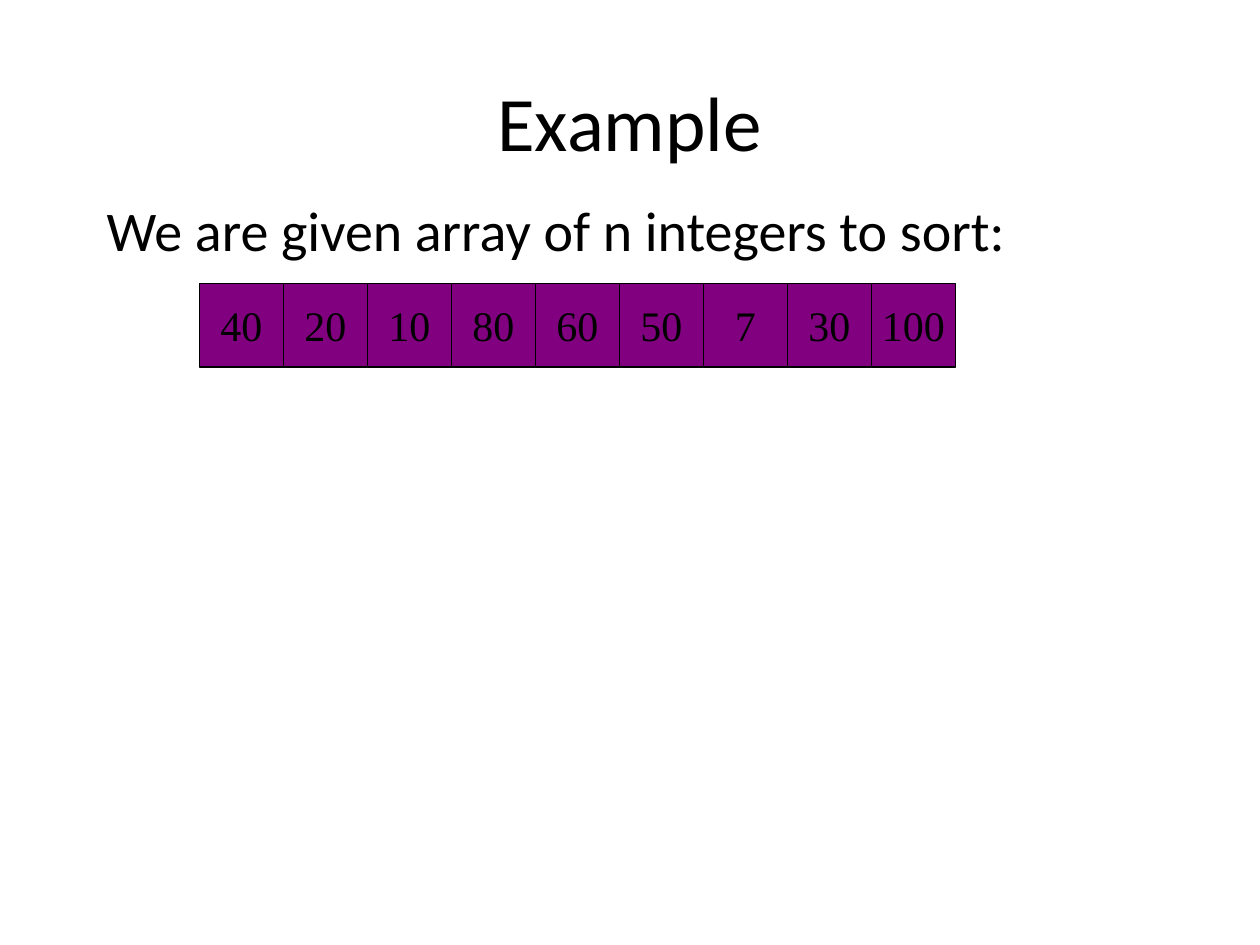
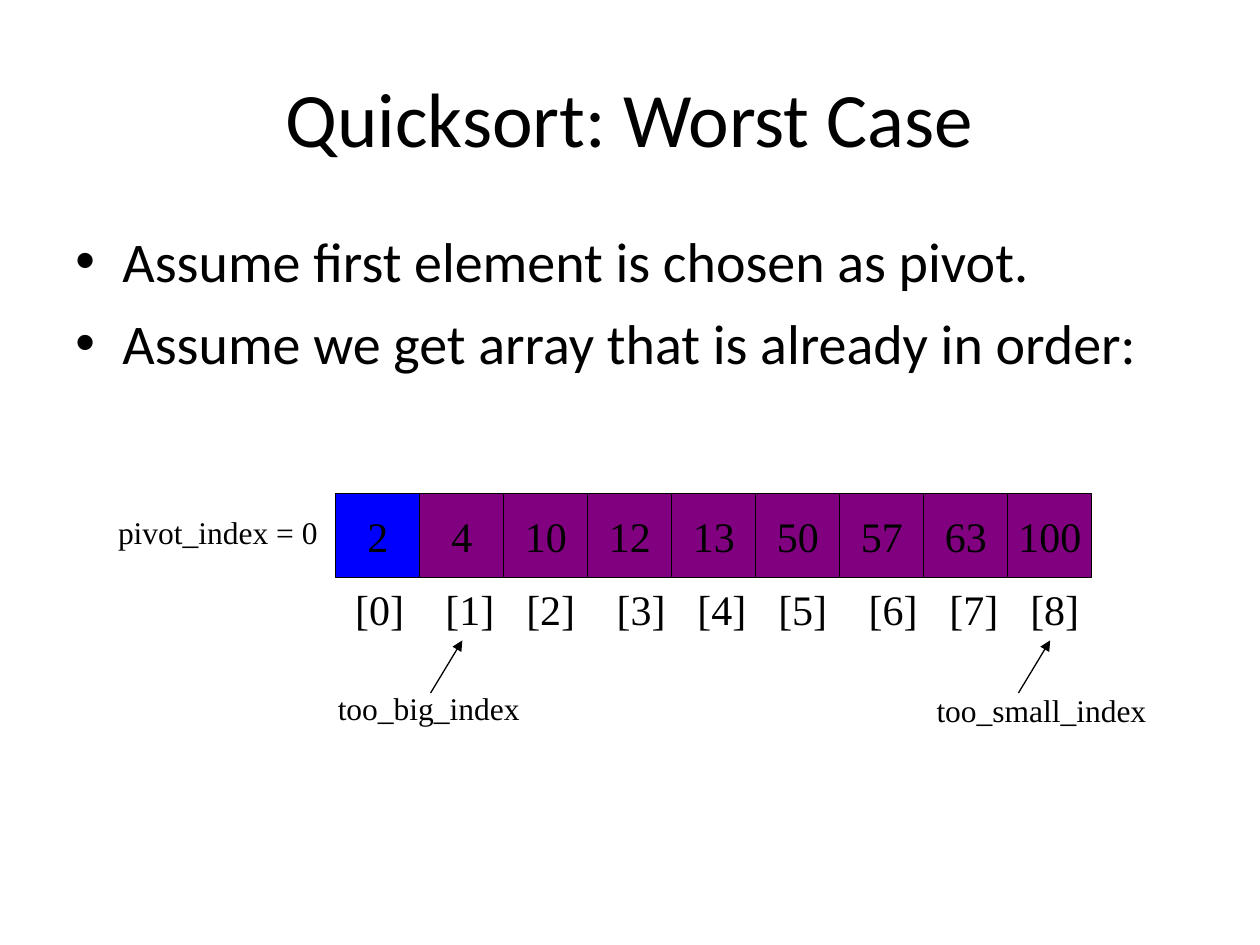
"""Builds two slides about sorting an array with quicksort."""
from itertools import accumulate

from lxml.etree import SubElement
from pptx import Presentation
from pptx.dml.color import RGBColor
from pptx.enum.shapes import MSO_CONNECTOR, MSO_SHAPE
from pptx.enum.text import MSO_ANCHOR, PP_ALIGN
from pptx.oxml.ns import qn
from pptx.util import Cm, Pt

BLACK, PURPLE, BLUE = "000000", "800080", "0000FF"
HEADING_FONT, ARRAY_FONT = "Calibri", "Times New Roman"
ROW_WIDTH, CELL_HEIGHT = 15.24, 1.69
WIDE_STEP, NARROW_STEP = 1.82, 1.63
TITLE_ONLY = 5


def color(hex_text):
    """Return the colour for a hex string."""
    return RGBColor.from_string(hex_text)


class Deck:
    """Holds the shared style and the current slide."""

    def __init__(self):
        """Start a 4:3 presentation."""
        self.presentation = Presentation()
        self.presentation.slide_width = Cm(25.4)
        self.presentation.slide_height = Cm(19.05)
        self.slide = None

    def add_words(self, paragraph, words, size, font, align=PP_ALIGN.LEFT):
        """Add one styled run to a paragraph."""
        paragraph.alignment = align
        run = paragraph.add_run()
        run.text = words
        run.font.size = Pt(size)
        run.font.name = font
        run.font.color.rgb = color(BLACK)

    def start_slide(self, heading, left, top, width):
        """Add a slide with a centred title."""
        layout = self.presentation.slide_layouts[TITLE_ONLY]
        self.slide = self.presentation.slides.add_slide(layout)
        title = self.slide.shapes.title
        title.left, title.top = Cm(left), Cm(top)
        title.width, title.height = Cm(width), Cm(3.18)
        title.text_frame.vertical_anchor = MSO_ANCHOR.MIDDLE
        self.add_words(title.text_frame.paragraphs[0], heading, 44, HEADING_FONT, PP_ALIGN.CENTER)

    def text_frame(self, left, top, width, height):
        """Add a wrapping text box and return its frame."""
        box = self.slide.shapes.add_textbox(Cm(left), Cm(top), Cm(width), Cm(height))
        box.text_frame.word_wrap = True
        return box.text_frame

    def body(self, statements, left, top, width, height, bulleted=False):
        """Add large statements with a hanging indent."""
        frame = self.text_frame(left, top, width, height)
        for number, statement in enumerate(statements):
            paragraph = frame.add_paragraph() if number else frame.paragraphs[0]
            properties = paragraph._p.get_or_add_pPr()
            properties.set("marL", str(Cm(0.95)))
            properties.set("indent", str(-Cm(0.95)))
            if bulleted:
                SubElement(properties, qn("a:buFont"), typeface="Arial")
                SubElement(properties, qn("a:buChar"), char="•")
            if number:
                paragraph.space_before = Pt(8)
            self.add_words(paragraph, statement, 32, HEADING_FONT)

    def array(self, values, left, top, pivot=None):
        """Add a row of equal cells, with the pivot in blue."""
        pitch = ROW_WIDTH / len(values)
        for index, value in enumerate(values):
            cell = self.slide.shapes.add_shape(
                MSO_SHAPE.RECTANGLE, Cm(left + index * pitch), Cm(top), Cm(pitch), Cm(CELL_HEIGHT))
            cell.shadow.inherit = False
            cell.fill.solid()
            cell.fill.fore_color.rgb = color(BLUE if index == pivot else PURPLE)
            cell.line.color.rgb = color(BLACK)
            cell.line.width = Pt(0.75)
            cell.text_frame.word_wrap = False
            cell.text_frame.vertical_anchor = MSO_ANCHOR.MIDDLE
            self.add_words(cell.text_frame.paragraphs[0], str(value), 24, ARRAY_FONT, PP_ALIGN.CENTER)

    def label(self, words, left, top, width, size=18, stops=()):
        """Add a one-line label, with tab stops where given."""
        paragraph = self.text_frame(left, top, width, size / 18).paragraphs[0]
        if stops:
            tabs = SubElement(paragraph._p.get_or_add_pPr(), qn("a:tabLst"))
            for stop in stops:
                SubElement(tabs, qn("a:tab"), pos=str(Cm(stop)), algn="l")
        self.add_words(paragraph, words, size, ARRAY_FONT)

    def arrow(self, left, bottom):
        """Add an arrow that rises to an index label."""
        pointer = self.slide.shapes.add_connector(
            MSO_CONNECTOR.STRAIGHT, Cm(left), Cm(bottom), Cm(left + 0.64), Cm(bottom - 1.06))
        pointer.line.color.rgb = color(BLACK)
        pointer.line.width = Pt(0.75)
        SubElement(pointer.line._get_or_add_ln(), qn("a:tailEnd"), type="triangle")
        SubElement(pointer._element.spPr, qn("a:effectLst"))


def build_example(deck):
    """Show the unsorted array."""
    deck.start_slide("Example", 1.9, 0.85, 21.59)
    deck.body(["We are given array of n integers to sort:"], 1.9, 3.81, 21.59, 11.43)
    deck.array([40, 20, 10, 80, 60, 50, 7, 30, 100], 4.02, 5.71)


def build_worst_case(deck):
    """Show a sorted array with its pivot and scanning indexes."""
    deck.start_slide("Quicksort: Worst Case", 1.27, 0.76, 22.86)
    deck.body(["Assume first element is chosen as pivot.",
               "Assume we get array that is already in order:"],
              1.27, 4.45, 22.86, 12.57, bulleted=True)
    sorted_values = [2, 4, 10, 12, 13, 50, 57, 63, 100]
    deck.array(sorted_values, 6.77, 9.95, pivot=0)
    deck.label("pivot_index = 0", 2.13, 10.21, 4.6)
    indexes = "\t".join(f"[{index}]" for index in range(len(sorted_values)))
    steps = [WIDE_STEP if index in (0, 2, 5) else NARROW_STEP
             for index in range(len(sorted_values) - 1)]
    deck.label(indexes, 6.91, 11.64, 15.3, 24, list(accumulate(steps)))
    deck.label("too_big_index", 6.56, 13.76, 8.04)
    deck.label("too_small_index", 18.63, 13.8, 5.93)
    for left in (20.53, 8.68):
        deck.arrow(left, 13.97)


def main():
    """Build and save the slides."""
    deck = Deck()
    build_example(deck)
    build_worst_case(deck)
    deck.presentation.save("out.pptx")


if __name__ == "__main__":
    main()
